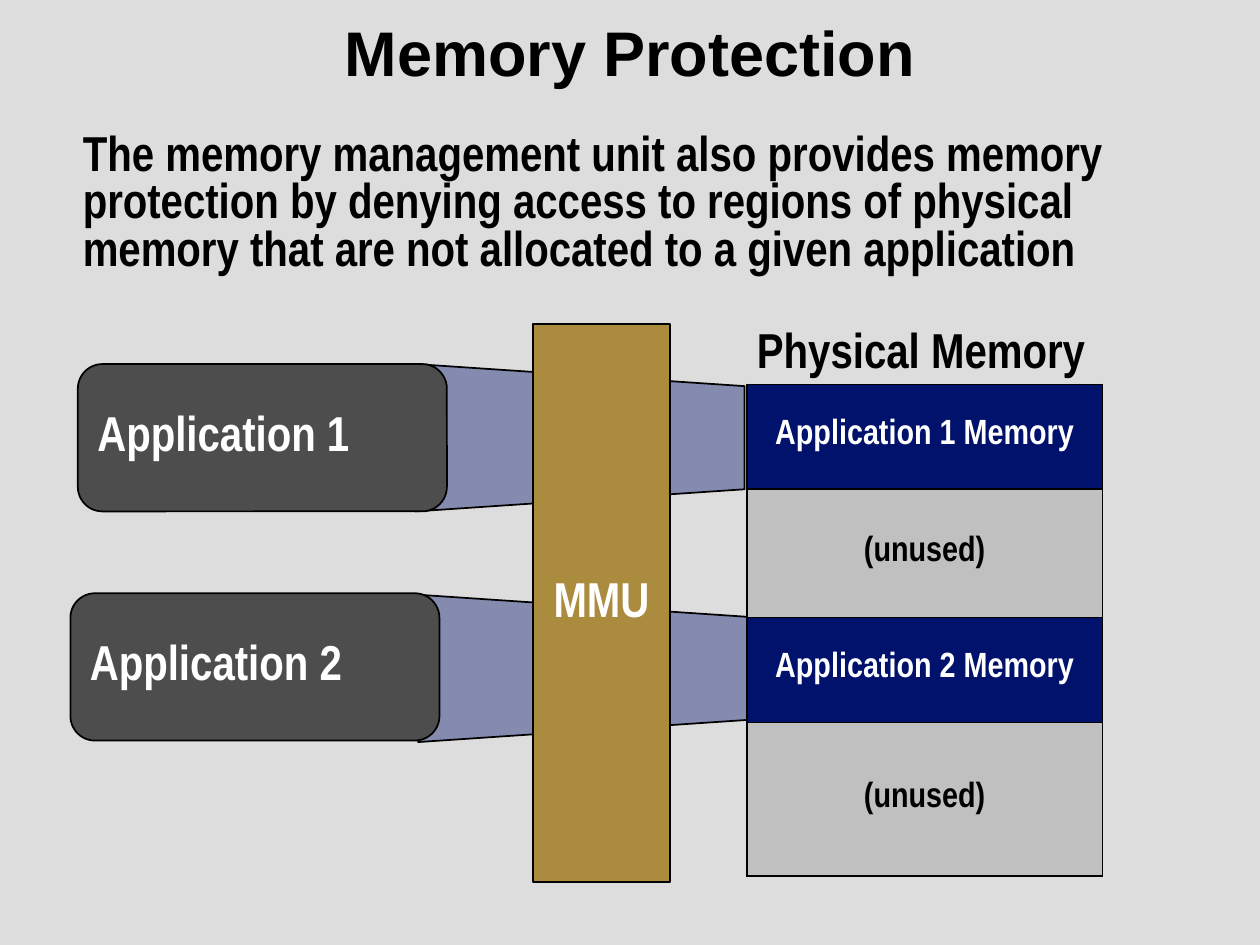
from lxml import etree
from pptx import Presentation
from pptx.dml.color import RGBColor
from pptx.enum import shapes, text
from pptx.oxml import ns, parse_xml
from pptx.util import Cm, Pt

COLORS = {
    "background": "DDDDDD",
    "black": "000000",
    "white": "FFFFFF",
    "navy": "00126C",
    "silver": "C0C0C0",
    "charcoal": "4D4D4D",
    "gold": "AB8C3F",
}


def write(frame, words, color, size=28, align=text.PP_ALIGN.LEFT):
    """Put one bold, tightly spaced, vertically centred paragraph in a frame."""
    frame.vertical_anchor = text.MSO_ANCHOR.MIDDLE
    para = frame.paragraphs[0]
    para.text = words
    para.alignment = align
    para.line_spacing = 0.8
    para.font.name = "Arial Narrow"
    para.font.size = Pt(size)
    para.font.bold = True
    para.font.color.rgb = RGBColor.from_string(COLORS[color])


def add_block(kind, left, top, width, height, color):
    """Add a filled shape with a thin black outline; lengths are in cm."""
    block = page.shapes.add_shape(kind, Cm(left), Cm(top), Cm(width), Cm(height))
    block.shadow.inherit = False
    block.fill.solid()
    block.fill.fore_color.rgb = RGBColor.from_string(COLORS[color])
    block.line.color.rgb = RGBColor.from_string(COLORS["black"])
    block.line.width = Pt(1)
    block.text_frame.word_wrap = True
    return block


deck = Presentation()
deck.slide_width, deck.slide_height = Cm(25.4), Cm(19.05)
page = deck.slides.add_slide(deck.slide_layouts[5])
page.background.fill.solid()
page.background.fill.fore_color.rgb = RGBColor.from_string(COLORS["background"])

# Title and explanation
title = page.shapes.title
title.left, title.top, title.width, title.height = Cm(0), Cm(0), Cm(25.4), Cm(2.06)
title.text_frame.vertical_anchor = text.MSO_ANCHOR.MIDDLE
heading = title.text_frame.paragraphs[0]
heading.text = "Memory Protection"
heading.alignment = text.PP_ALIGN.CENTER
heading.font.name = "Arial"
heading.font.size = Pt(36)
heading.font.bold = True
heading.font.color.rgb = RGBColor.from_string(COLORS["black"])

explanation = page.shapes.add_textbox(Cm(1.42), Cm(2.57), Cm(22.76), Cm(3.12))
explanation.text_frame.word_wrap = True
write(
    explanation.text_frame,
    "The memory management unit also provides memory protection by denying access "
    "to regions of physical memory that are not allocated to a given application",
    "black",
)

# Physical memory regions
regions = [
    ("Application 1 Memory", 2.11, "navy", "white"),
    ("(unused)", 2.59, "silver", "black"),
    ("Application 2 Memory", 2.11, "navy", "white"),
    ("(unused)", 3.1, "silver", "black"),
]
memory = page.shapes.add_table(
    len(regions), 1, Cm(15.06), Cm(7.75), Cm(7.16), Cm(9.91)
).table
memory.first_row = memory.horz_banding = False
for row, (words, height, fill, ink) in zip(memory.rows, regions):
    row.height = Cm(height)
    cell = row.cells[0]
    write(cell.text_frame, words, ink, 20, text.PP_ALIGN.CENTER)
    cell.vertical_anchor = text.MSO_ANCHOR.MIDDLE
    properties = cell._tc.get_or_add_tcPr()
    for side in ("lnL", "lnR", "lnT", "lnB"):
        properties.append(parse_xml(
            f'<a:{side} {ns.nsdecls("a")} w="{Pt(1)}"><a:solidFill>'
            f'<a:srgbClr val="{COLORS["black"]}"/></a:solidFill></a:{side}>'
        ))
    cell.fill.solid()
    cell.fill.fore_color.rgb = RGBColor.from_string(COLORS[fill])

# Applications and their mappings into memory
applications = [
    ("Application 1", 1.57, 7.34, 10.21, 5.51),
    ("Application 2", 1.42, 11.96, 10.26, 10.16),
]
for name, left, top, mapping_left, mapping_top in applications:
    mapping = add_block(
        shapes.MSO_SHAPE.TRAPEZOID, mapping_left, mapping_top, 2.97, 6.63, "navy"
    )
    mapping.rotation = 90
    mapping.adjustments[0] = 0.15
    tint = mapping.fill._xPr.find(ns.qn("a:solidFill"))[0]
    etree.SubElement(tint, ns.qn("a:alpha"), val="40000")

    application = add_block(
        shapes.MSO_SHAPE.ROUNDED_RECTANGLE, left, top, 7.44, 2.97, "charcoal"
    )
    write(application.text_frame, name, "white")

caption = page.shapes.add_textbox(Cm(15.01), Cm(6.53), Cm(7.19), Cm(1.22))
caption.text_frame.word_wrap = False
write(caption.text_frame, "Physical Memory", "black")

# The memory management unit covers the middle of both mappings
unit = add_block(shapes.MSO_SHAPE.RECTANGLE, 10.74, 6.53, 2.77, 11.25, "gold")
write(unit.text_frame, "MMU", "white", align=text.PP_ALIGN.CENTER)

deck.save("out.pptx")
